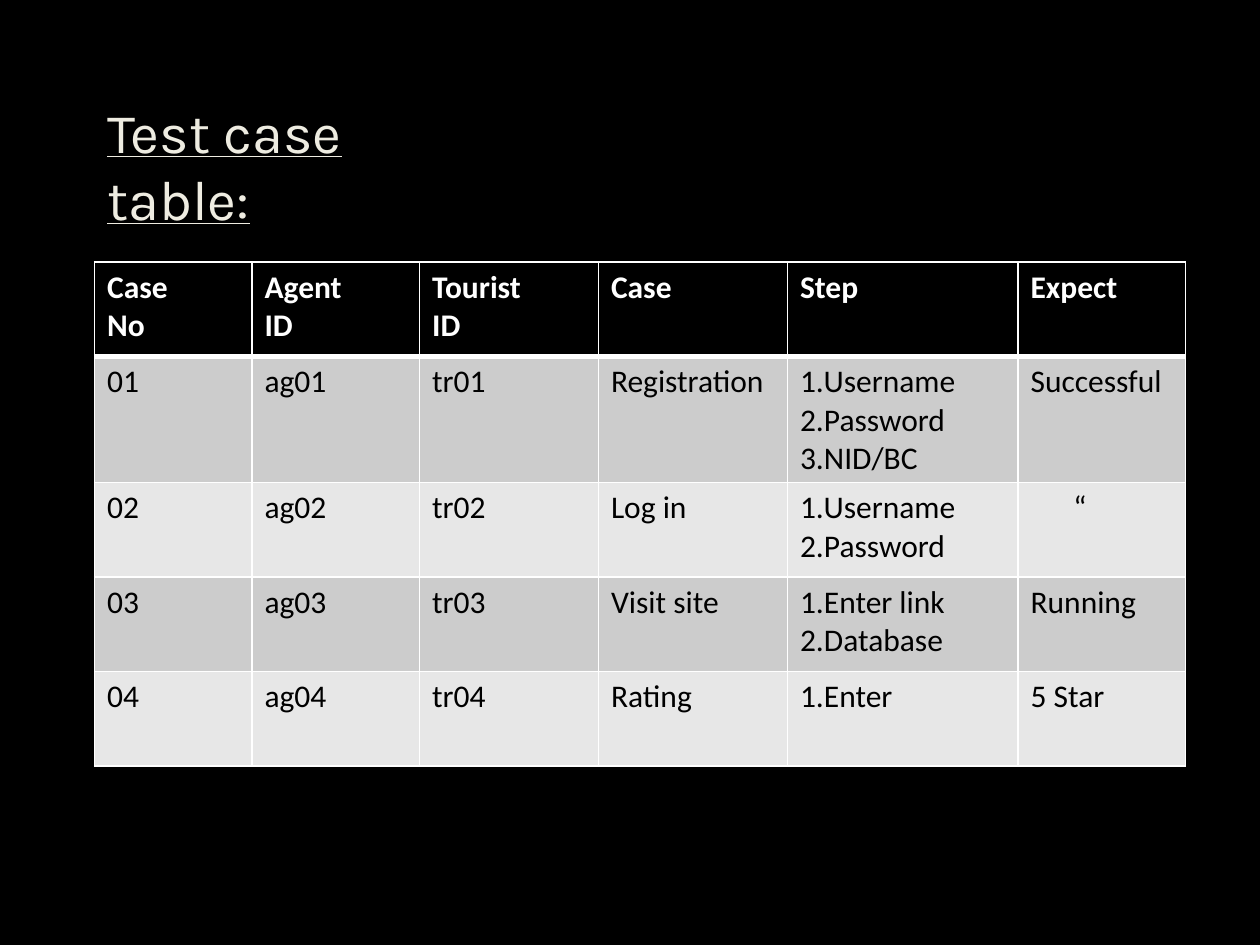
from dataclasses import dataclass

from lxml import etree
from pptx import Presentation
from pptx.dml.color import RGBColor
from pptx.enum import text as tx
from pptx.oxml import ns
from pptx.util import Inches, Pt


@dataclass(frozen=True)
class Theme:
    back: str = "000000"
    title: str = "EEECE1"
    head: str = "FFFFFF"
    ink: str = "000000"
    line: str = "FFFFFF"
    bands: tuple = ("CCCCCC", "E7E7E7")
    title_font: str = "Karla"
    font: str = "Calibri"
    title_size: int = 32
    size: int = 18
    thin: int = 1
    thick: int = 3


THEME = Theme()
COLS = (1.25, 1.33, 1.42, 1.5, 1.83, 1.33)
ROW = 0.75
DITTO = "“"
CASES = (
    ("Case\nNo", "Agent\nID", "Tourist\nID", "Case", "Step", "Expect"),
    ("01", "ag01", "tr01", "Registration", "1.Username\n2.Password\n3.NID/BC", "Successful"),
    ("02", "ag02", "tr02", "Log in", "1.Username\n2.Password", DITTO),
    ("03", "ag03", "tr03", "Visit site", "1.Enter link\n2.Database", "Running"),
    ("04", "ag04", "tr04", "Rating", "1.Enter", "5 Star"),
)


def paint(fill, color):
    fill.solid()
    fill.fore_color.rgb = RGBColor.from_string(color)


def add_run(para, words, font, size, color, bold=False, under=False):
    run = para.add_run()
    run.text = words
    face = run.font
    face.name, face.size = font, Pt(size)
    face.bold, face.underline = bold, under
    face.color.rgb = RGBColor.from_string(color)


def add_edge(cell, side, width):
    props = cell._tc.get_or_add_tcPr()
    line = etree.SubElement(props, ns.qn(f"a:ln{side}"), w=str(Pt(width)))
    fill = etree.SubElement(line, ns.qn("a:solidFill"))
    etree.SubElement(fill, ns.qn("a:srgbClr"), val=THEME.line)


def add_title(slide, left, top, width, height):
    title = slide.shapes.title
    title.left, title.top = Inches(left), Inches(top)
    title.width, title.height = Inches(width), Inches(height)
    frame = title.text_frame
    frame.word_wrap = True
    frame.auto_size = tx.MSO_AUTO_SIZE.SHAPE_TO_FIT_TEXT
    frame.vertical_anchor = tx.MSO_ANCHOR.TOP
    para = frame.paragraphs[0]
    para.alignment = tx.PP_ALIGN.LEFT
    add_run(para, "Test case table:", THEME.title_font, THEME.title_size,
            THEME.title, under=True)


def fill_cell(cell, words, row):
    head = row == 0
    widths = {
        "L": THEME.thin,
        "R": THEME.thin,
        "T": THEME.thick if row == 1 else THEME.thin,
        "B": THEME.thick if head else THEME.thin,
    }
    for side, width in widths.items():
        add_edge(cell, side, width)
    paint(cell.fill, THEME.back if head else THEME.bands[(row - 1) % 2])
    if words == DITTO:
        cell.margin_left = Inches(0.44)
    para = cell.text_frame.paragraphs[0]
    for index, part in enumerate(words.split("\n")):
        if index:
            para.add_line_break()
        add_run(para, part, THEME.font, THEME.size,
                THEME.head if head else THEME.ink, bold=head)


def add_cases(slide, left, top, width, height):
    table = slide.shapes.add_table(
        len(CASES), len(COLS), Inches(left), Inches(top),
        Inches(width), Inches(height)).table
    for col, size in zip(table.columns, COLS):
        col.width = Inches(size * width / sum(COLS))
    for row, line in enumerate(CASES):
        table.rows[row].height = Inches(height / len(CASES))
        for col, words in enumerate(line):
            fill_cell(table.cell(row, col), words, row)


def main():
    deck = Presentation()
    deck.slide_width, deck.slide_height = Inches(10), Inches(7.5)
    slide = deck.slides.add_slide(deck.slide_layouts[5])
    paint(slide.background.fill, THEME.back)
    add_cases(slide, 0.75, 2.08, sum(COLS), ROW * len(CASES))
    add_title(slide, 0.75, 0.72, 3.25, 0.64)
    deck.save("out.pptx")


if __name__ == "__main__":
    main()
